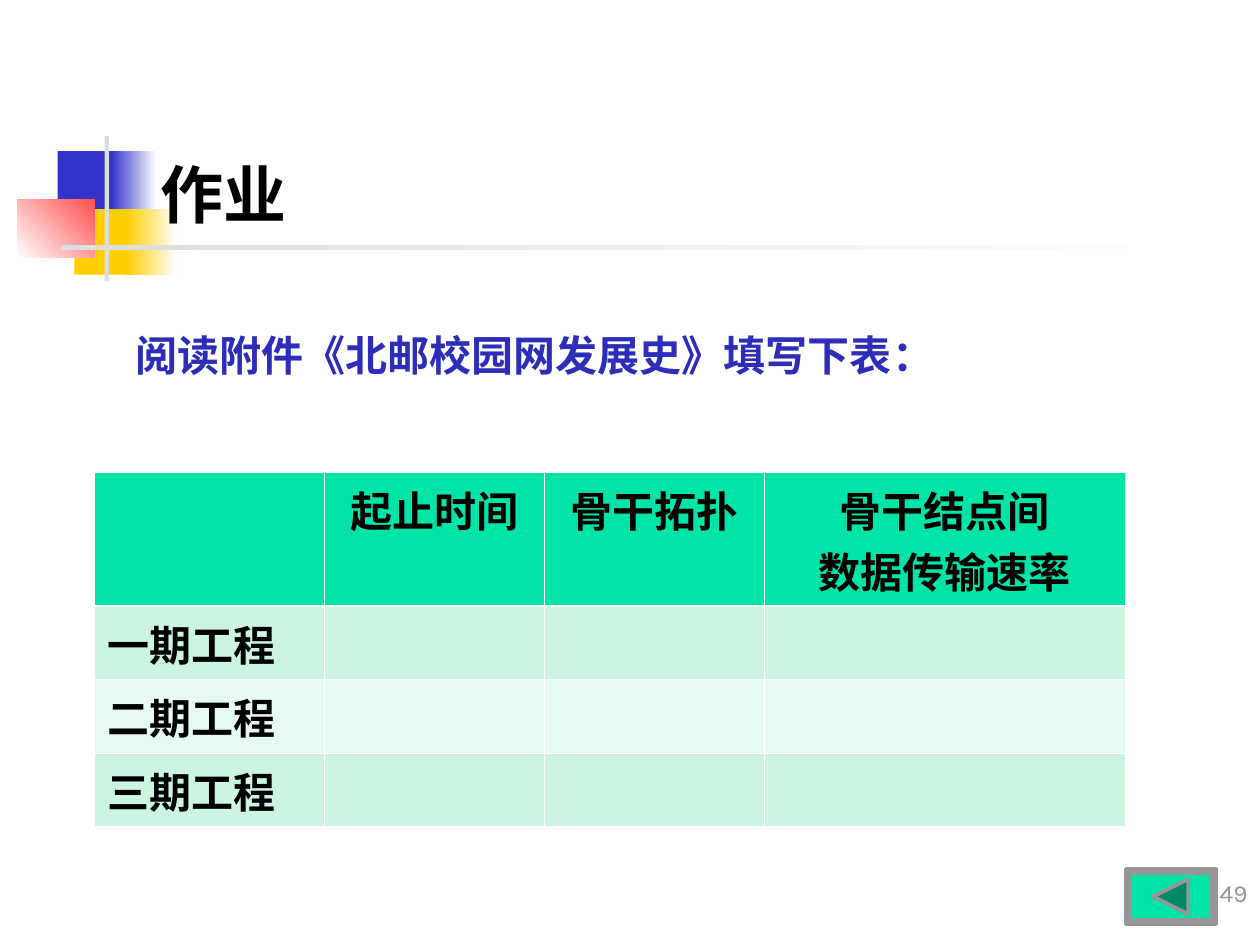
from lxml import etree
from pptx import Presentation
from pptx import util as u
from pptx.dml.color import RGBColor
from pptx.enum import shapes, text
from pptx.oxml.ns import qn

CJK, LATIN = "Noto Sans CJK SC", "Karla"
BLACK, WHITE, BLUE, YELLOW = "000000", "FFFFFF", "3333CC", "FFCF01"
GREEN, GRAY, SILVER = "00E4A8", "969696", "DDDDDD"
DECOR = [
    (33, 86.4, 34.5, 37.5, BLUE, None, 0),
    (63.4, 86.4, 26, 37.5, BLUE, WHITE, 0),
    (42.5, 119.5, 33, 37.5, YELLOW, None, 0),
    (72, 119.5, 29, 37.5, YELLOW, WHITE, 0),
    (10, 113.8, 44, 33.2, WHITE, "FF5050", 45),
    (59.8, 77.8, 2.4, 83, SILVER, None, 0),
    (34.6, 140.2, 648, 2.4, SILVER, WHITE, 0),
]
ROWS = [
    ["", "起止时间", "骨干拓扑", "骨干结点间\n数据传输速率"],
    ["一期工程", "", "", ""],
    ["二期工程", "", "", ""],
    ["三期工程", "", "", ""],
]
COLUMN_WIDTHS = [131.4, 125.6, 125.6, 206.8]
ROW_HEIGHTS = [76.5, 42, 42, 42]
ROW_FILLS = [GREEN, "CBF5E1", "E7FAF1", "CBF5E1"]


def color(value):
    """Turn a hex string into a colour."""
    return RGBColor.from_string(value)


def points(*values):
    """Turn numbers into lengths in points."""
    return [u.Pt(value) for value in values]


def format_paragraph(paragraph, size, hex_color, bold=False, font=CJK, align=text.PP_ALIGN.LEFT):
    """Set alignment and font, including the East Asian face."""
    paragraph.alignment = align
    paragraph.font.size = u.Pt(size)
    paragraph.font.bold = bold
    paragraph.font.color.rgb = color(hex_color)
    paragraph.font.name = font
    properties = paragraph._p.pPr.find(qn("a:defRPr"))
    etree.SubElement(properties, qn("a:ea"), typeface=CJK)


def style_shape(shape, fill, line=None):
    """Give a shape a plain fill and an optional outline."""
    shape.shadow.inherit = False
    shape.fill.solid()
    shape.fill.fore_color.rgb = color(fill)
    if line:
        shape.line.color.rgb = color(line)
        shape.line.width = u.Pt(2.25)
    else:
        shape.line.fill.background()


def add_block(slide, left, top, width, height, start, end, angle):
    """Add a decorative rectangle, fading to the end colour if there is one."""
    shape = slide.shapes.add_shape(
        shapes.MSO_SHAPE.RECTANGLE, *points(left, top, width, height))
    style_shape(shape, start)
    if end:
        shape.fill.gradient()
        shape.fill.gradient_angle = angle
        for stop, value in zip(shape.fill.gradient_stops, (start, end)):
            stop.color.rgb = color(value)


def add_title(slide, wording):
    """Place the title above the decoration."""
    title = slide.shapes.title
    slide.shapes.element.append(title.element)
    title.left, title.top, title.width, title.height = points(76.3, 60.5, 620.6, 75.6)
    frame = title.text_frame
    frame.text = wording
    frame.vertical_anchor = text.MSO_ANCHOR.BOTTOM
    frame.margin_left, frame.margin_bottom = points(15.3, 4)
    format_paragraph(frame.paragraphs[0], 36, BLACK, True)


def add_text(slide, box, wording, anchor=text.MSO_ANCHOR.TOP, spacing=None, **style):
    """Add a one-paragraph text box."""
    frame = slide.shapes.add_textbox(*points(*box)).text_frame
    frame.word_wrap = True
    frame.vertical_anchor = anchor
    paragraph = frame.paragraphs[0]
    paragraph.text = wording
    if spacing:
        paragraph.line_spacing = spacing
    format_paragraph(paragraph, font=LATIN, **style)


def add_back_button(slide):
    """Add the bevelled button with its left-pointing triangle."""
    button = slide.shapes.add_shape(
        shapes.MSO_SHAPE.BEVEL, *points(643.7, 496.8, 51.1, 31))
    button.adjustments[0] = 0.07
    style_shape(button, GREEN, GRAY)
    builder = slide.shapes.build_freeform(*points(658.8, 512.3))
    builder.add_line_segments([points(679, 502.4), points(679, 522.4)])
    style_shape(builder.convert_to_shape(), "008965", GRAY)


def set_borders(cell, top, bottom):
    """Draw white borders around a cell."""
    properties = cell._tc.get_or_add_tcPr()
    for side, width in (("L", 0.45), ("R", 0.45), ("T", top), ("B", bottom)):
        line = etree.SubElement(properties, qn(f"a:ln{side}"), w=str(u.Pt(width)))
        fill = etree.SubElement(line, qn("a:solidFill"))
        etree.SubElement(fill, qn("a:srgbClr"), val=WHITE)


def add_project_table(slide):
    """Add the table of project phases to be filled in."""
    table = slide.shapes.add_table(
        len(ROWS), len(COLUMN_WIDTHS),
        *points(54, 270, sum(COLUMN_WIDTHS), sum(ROW_HEIGHTS))).table
    for column, width in zip(table.columns, COLUMN_WIDTHS):
        column.width = u.Pt(width)
    for index, (row, height) in enumerate(zip(table.rows, ROW_HEIGHTS)):
        row.height = u.Pt(height)
        align = text.PP_ALIGN.LEFT if index else text.PP_ALIGN.CENTER
        for cell, wording in zip(row.cells, ROWS[index]):
            set_borders(cell, 1.47 if index == 1 else 0.45, 0.45 if index else 1.47)
            cell.fill.solid()
            cell.fill.fore_color.rgb = color(ROW_FILLS[index])
            cell.text = wording
            for paragraph in cell.text_frame.paragraphs:
                format_paragraph(paragraph, 24, BLACK, True, align=align)


def main():
    """Build the homework slide."""
    presentation = Presentation()
    presentation.slide_width, presentation.slide_height = points(720, 540)
    slide = presentation.slides.add_slide(presentation.slide_layouts[5])
    for block in DECOR:
        add_block(slide, *block)
    add_title(slide, "作业")
    add_text(slide, (570.2, 486, 149.8, 36), "49", text.MSO_ANCHOR.BOTTOM,
             size=14, hex_color=GRAY, align=text.PP_ALIGN.RIGHT)
    add_back_button(slide)
    add_text(slide, (70.6, 173.5, 572.4, 51.1), "阅读附件《北邮校园网发展史》填写下表：",
             spacing=1.4, size=24, hex_color="2D2DB9", bold=True)
    add_project_table(slide)
    presentation.save("out.pptx")


if __name__ == "__main__":
    main()
